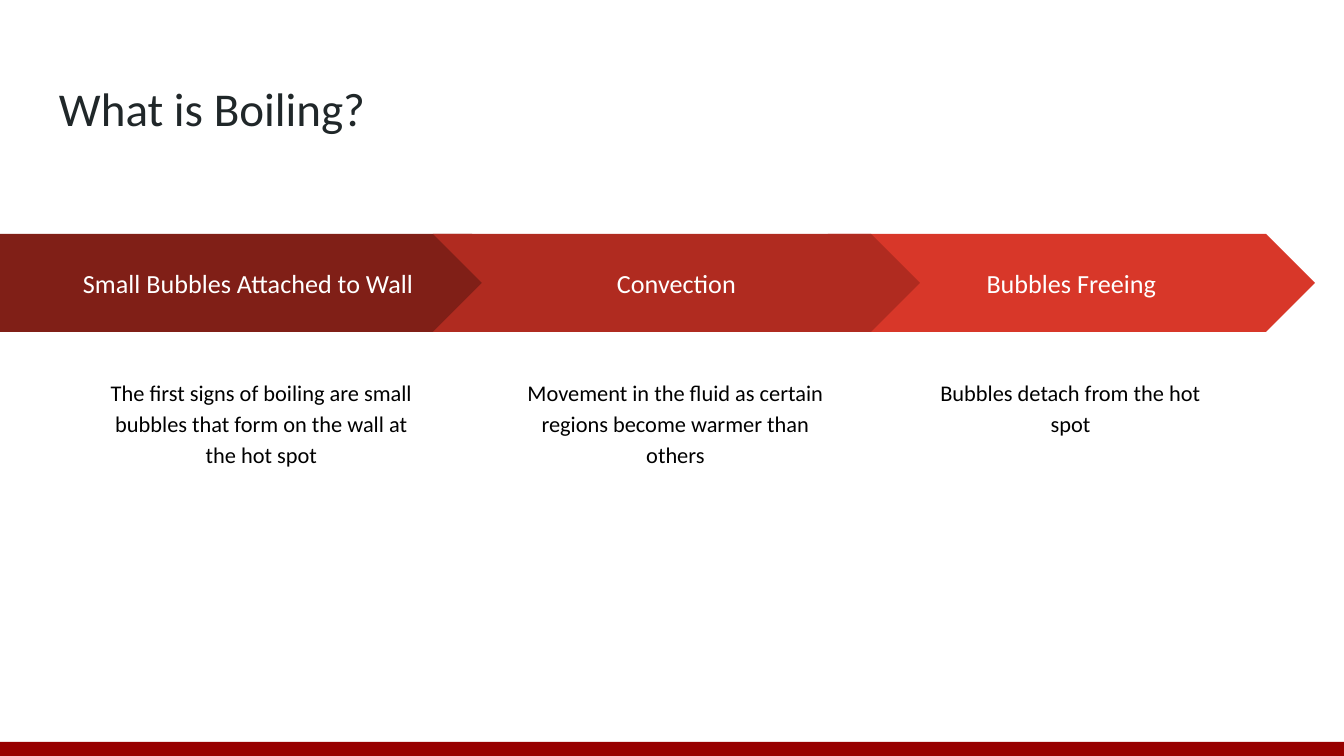
"""Build a slide showing the three stages of boiling as a chevron process."""
import pptx
import pptx.dml.color
import pptx.enum.shapes
import pptx.enum.text
import pptx.util

RGB = pptx.dml.color.RGBColor
SHAPE = pptx.enum.shapes.MSO_SHAPE
ALIGN = pptx.enum.text.PP_ALIGN
ANCHOR = pptx.enum.text.MSO_ANCHOR

WHITE = RGB(0xFF, 0xFF, 0xFF)
BLACK = RGB(0x00, 0x00, 0x00)
CHARCOAL = RGB(0x20, 0x27, 0x29)
CRIMSON = RGB(0x98, 0x00, 0x00)
MAROON = RGB(0x80, 0x1F, 0x17)
BRICK = RGB(0xB0, 0x2B, 0x20)
SCARLET = RGB(0xD8, 0x37, 0x29)

TITLE = "What is Boiling?"
FIRST_STAGE = ("Small Bubbles Attached to Wall",
               "The first signs of boiling are small bubbles that form on the wall at the hot spot",
               SHAPE.PENTAGON, MAROON, 0, 521, 97)
SECOND_STAGE = ("Convection",
                "Movement in the fluid as certain regions become warmer than others",
                SHAPE.CHEVRON, BRICK, 433, 487, 511)
THIRD_STAGE = ("Bubbles Freeing",
               "Bubbles detach from the hot spot",
               SHAPE.CHEVRON, SCARLET, 828, 487, 906)
BACK_TO_FRONT = [THIRD_STAGE, FIRST_STAGE, SECOND_STAGE]

FONT = "Calibri"
SLIDE_WIDTH, SLIDE_HEIGHT = 1344, 756
ARROW_TOP, ARROW_HEIGHT = 234, 98
DETAIL_TOP, DETAIL_WIDTH, DETAIL_HEIGHT = 362, 329, 384
FOOTER_HEIGHT = 14
INSET = 13
EMU_PER_PX = 914400 / 134.4


def px(length):
    return pptx.util.Emu(round(length * EMU_PER_PX))


def write(shape, text, size, color, align, anchor, spacing=1.0):
    frame = shape.text_frame
    frame.word_wrap = True
    frame.auto_size = pptx.enum.text.MSO_AUTO_SIZE.NONE
    frame.vertical_anchor = anchor
    frame.margin_left = frame.margin_right = px(INSET)
    frame.margin_top = frame.margin_bottom = px(INSET)
    frame.text = text
    paragraph = frame.paragraphs[0]
    paragraph.alignment = align
    paragraph.line_spacing = spacing
    font = paragraph.runs[0].font
    font.name = FONT
    font.size = pptx.util.Pt(size)
    font.color.rgb = color


def add_block(slide, preset, left, top, width, height, color):
    block = slide.shapes.add_shape(preset, px(left), px(top), px(width), px(height))
    block.shadow.inherit = False
    block.fill.solid()
    block.fill.fore_color.rgb = color
    block.line.fill.background()
    return block


def add_stage(slide, label, detail, preset, color, left, width, detail_left):
    arrow = add_block(slide, preset, left, ARROW_TOP, width, ARROW_HEIGHT, color)
    arrow.adjustments[0] = 0.5
    write(arrow, label, 14, WHITE, ALIGN.CENTER, ANCHOR.MIDDLE)
    description = slide.shapes.add_textbox(
        px(detail_left), px(DETAIL_TOP), px(DETAIL_WIDTH), px(DETAIL_HEIGHT))
    write(description, detail, 12, BLACK, ALIGN.CENTER, ANCHOR.TOP, 1.15)


def main():
    deck = pptx.Presentation()
    deck.slide_width, deck.slide_height = px(SLIDE_WIDTH), px(SLIDE_HEIGHT)
    slide = deck.slides.add_slide(deck.slide_layouts.get_by_name("Title Only"))
    slide.background.fill.solid()
    slide.background.fill.fore_color.rgb = WHITE

    add_block(slide, SHAPE.RECTANGLE, 0, SLIDE_HEIGHT - FOOTER_HEIGHT,
              SLIDE_WIDTH, FOOTER_HEIGHT, CRIMSON)

    title = slide.shapes.title
    title.left, title.top, title.width, title.height = map(px, (46, 66, 1253, 84))
    write(title, TITLE, 25.2, CHARCOAL, ALIGN.LEFT, ANCHOR.TOP)

    for stage in BACK_TO_FRONT:
        add_stage(slide, *stage)

    deck.save("out.pptx")


if __name__ == "__main__":
    main()
